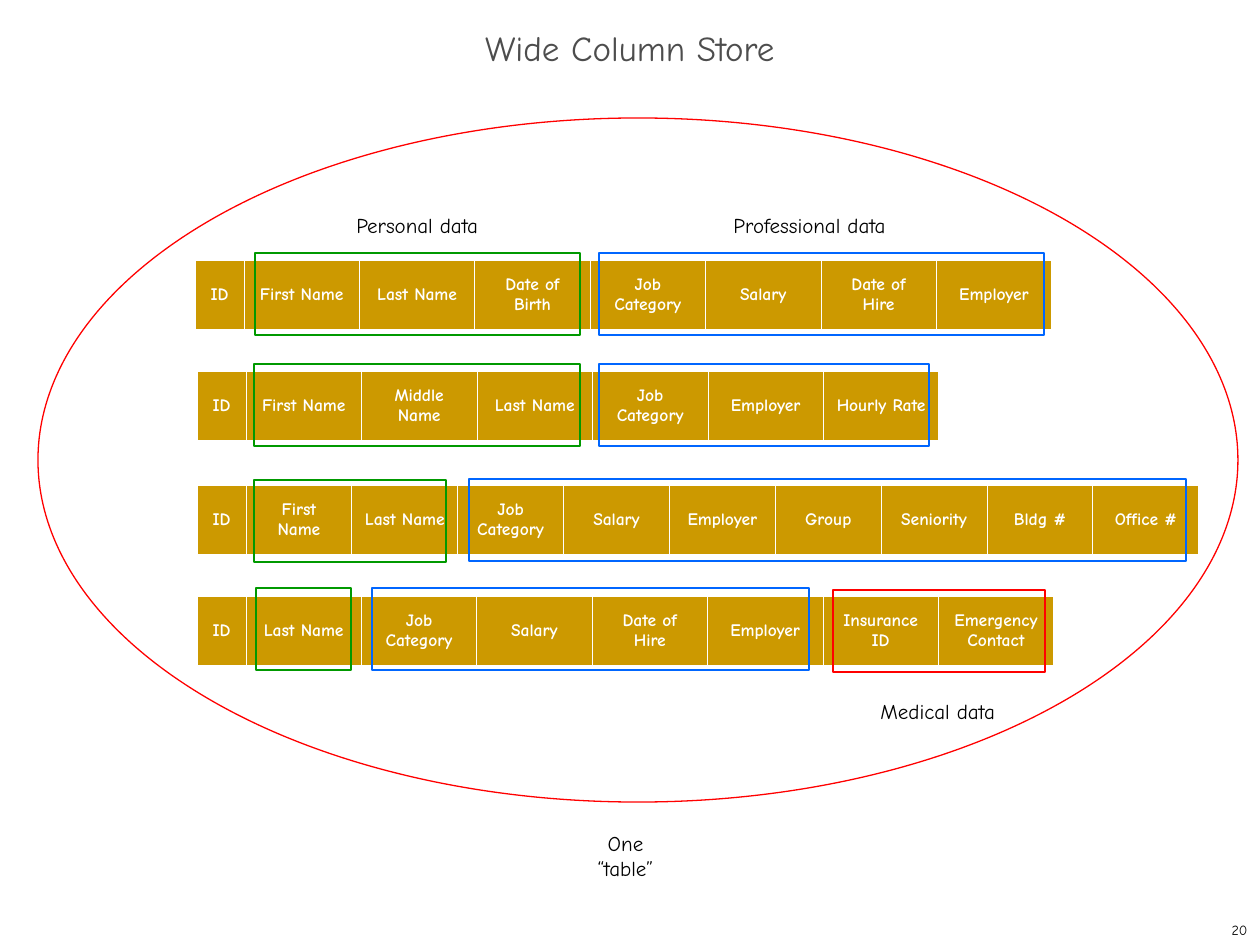
from lxml import etree
from pptx import Presentation
from pptx.dml.color import RGBColor
from pptx.enum.shapes import MSO_SHAPE as Shape
from pptx.enum.text import MSO_ANCHOR as Anchor, PP_ALIGN as Align
from pptx.oxml.ns import qn
from pptx.util import Pt

FONT = "Comic Neue"
COLORS = {"gold": "CC9900", "white": "FFFFFF", "black": "000000", "gray": "4D4D4D",
          "green": "009900", "blue": "0066FF", "red": "FF0000"}

# Records: left, top, width, fields after the ID
ID_WIDTH, ROW_HEIGHT = 49, 70
RECORDS = [
    (195, 260, 857, ["First Name", "Last Name", "Date of Birth", "Job Category",
                     "Salary", "Date of Hire", "Employer"]),
    (197, 371, 742, ["First Name", "Middle Name", "Last Name", "Job Category",
                     "Employer", "Hourly Rate"]),
    (197, 485, 1002, ["First Name", "Last Name", "Job Category", "Salary", "Employer",
                      "Group", "Seniority", "Bldg #", "Office #"]),
    (197, 596, 857, ["Last Name", "Job Category", "Salary", "Date of Hire",
                     "Employer", "Insurance ID", "Emergency Contact"]),
]

# Column families: left, top, width, color
FAMILY_HEIGHT = 82
FAMILIES = [
    (255, 253, 325, "green"), (599, 253, 445, "blue"),
    (254, 364, 326, "green"), (599, 364, 330, "blue"),
    (254, 480, 192, "green"), (469, 479, 717, "blue"),
    (256, 588, 95, "green"), (372, 588, 437, "blue"), (833, 590, 212, "red"),
]
TABLE_OVAL = (38, 118, 1200, 684)

# Labels: text, left, top, width, alignment
LABEL_HEIGHT = 38
LABELS = [
    ("Personal data", 344, 206, 149, Align.LEFT),
    ("Professional data", 721, 206, 179, Align.LEFT),
    ("Medical data", 868, 692, 140, Align.LEFT),
    ("One “table”", 564, 824, 123, Align.CENTER),
]


def px(value):
    return round(value * 914400 / 126)


def rgb(name):
    return RGBColor.from_string(COLORS[name])


def write(frame, text, size, color, align, bold=False):
    paragraph = frame.paragraphs[0]
    paragraph.alignment = align
    run = paragraph.add_run()
    run.text = text
    run.font.name = FONT
    run.font.size = Pt(size)
    run.font.bold = bold
    run.font.color.rgb = rgb(color)
    return paragraph


def add_text(slide, text, box, size, color, align, anchor=Anchor.TOP, wrap=False):
    frame = slide.shapes.add_textbox(*map(px, box)).text_frame
    frame.word_wrap = wrap
    frame.vertical_anchor = anchor
    return write(frame, text, size, color, align)


def add_outline(slide, kind, box, color, width):
    outline = slide.shapes.add_shape(kind, *map(px, box))
    outline.shadow.inherit = False
    outline.fill.background()
    outline.line.color.rgb = rgb(color)
    outline.line.width = Pt(width)


def set_borders(cell):
    properties = cell._tc.get_or_add_tcPr()
    for index, (side, width) in enumerate([("L", 0.45), ("R", 0.45), ("T", 0.45), ("B", 1.47)]):
        border = etree.Element(qn(f"a:ln{side}"), w=str(Pt(width)))
        fill = etree.SubElement(border, qn("a:solidFill"))
        etree.SubElement(fill, qn("a:srgbClr"), val=COLORS["white"])
        properties.insert(index, border)


def add_record(slide, left, top, width, fields):
    names = ["ID"] + fields
    box = (left, top, width, ROW_HEIGHT)
    table = slide.shapes.add_table(1, len(names), *map(px, box)).table
    table.first_row = table.horz_banding = False
    field_width = (width - ID_WIDTH) / len(fields)
    for index, name in enumerate(names):
        table.columns[index].width = px(field_width if index else ID_WIDTH)
        cell = table.cell(0, index)
        cell.fill.solid()
        cell.fill.fore_color.rgb = rgb("gold")
        cell.vertical_anchor = Anchor.MIDDLE
        write(cell.text_frame, name, 10, "white", Align.CENTER, bold=True)
        set_borders(cell)


def main():
    deck = Presentation()
    deck.slide_width, deck.slide_height = px(1260), px(945)
    slide = deck.slides.add_slide(deck.slide_layouts[6])

    # Title and slide number
    title = add_text(slide, "Wide Column Store", (0, 21, 1260, 63), 20, "gray",
                     Align.CENTER, Anchor.MIDDLE, wrap=True)
    title.line_spacing = 0.7
    add_text(slide, "20", (998, 914, 262, 31), 8, "black",
             Align.RIGHT, Anchor.MIDDLE, wrap=True)

    # Records with their column families
    for record in RECORDS:
        add_record(slide, *record)
    for left, top, width, color in FAMILIES:
        add_outline(slide, Shape.RECTANGLE, (left, top, width, FAMILY_HEIGHT), color, 1.25)

    # The enclosing table and the labels
    add_outline(slide, Shape.OVAL, TABLE_OVAL, "red", 0.75)
    for text, left, top, width, align in LABELS:
        add_text(slide, text, (left, top, width, LABEL_HEIGHT), 12, "black", align)

    deck.save("out.pptx")


if __name__ == "__main__":
    main()
